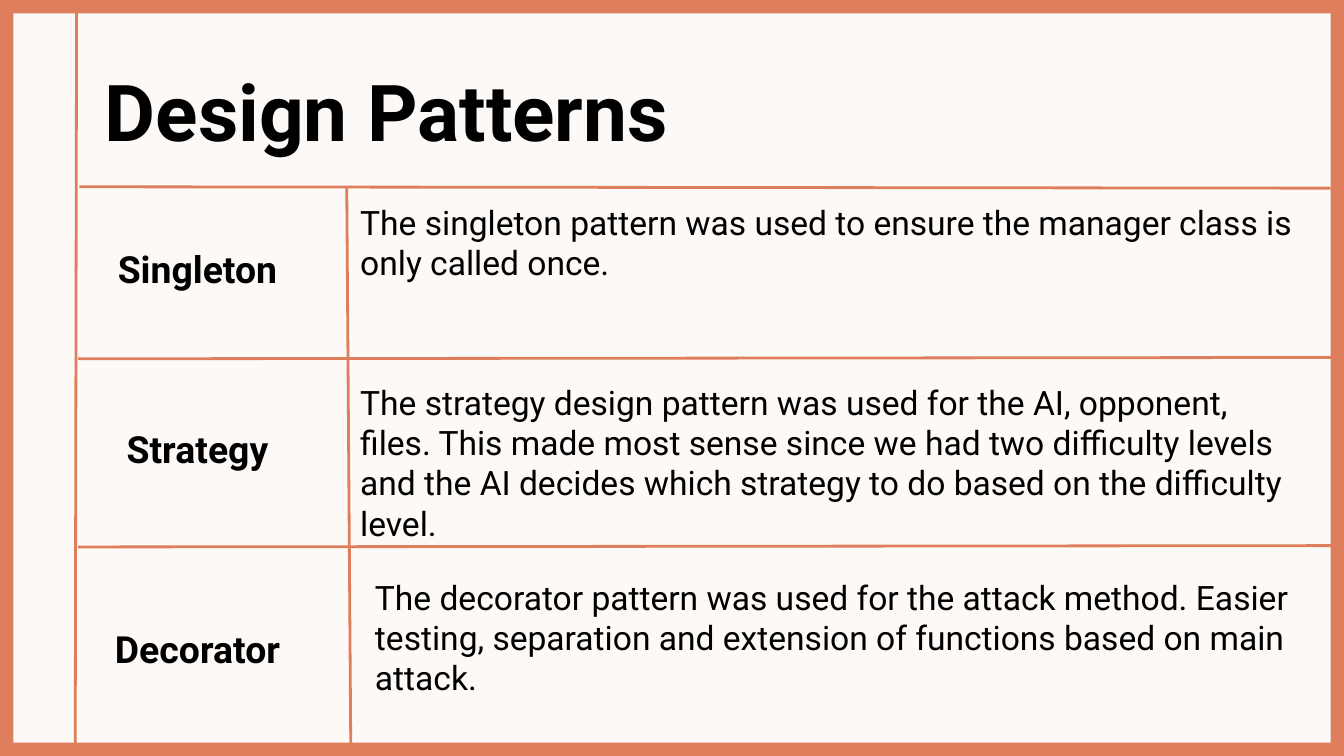
from dataclasses import dataclass

from lxml import etree
from pptx import Presentation
from pptx.dml.color import RGBColor
from pptx.enum import shapes, text
from pptx.oxml import ns
from pptx.util import Inches, Pt


@dataclass(frozen=True)
class Theme:
    paper: RGBColor = RGBColor(0xFC, 0xF9, 0xF6)
    rust: RGBColor = RGBColor(0xDE, 0x7E, 0x5D)
    ink: RGBColor = RGBColor(0, 0, 0)
    font: str = "Roboto"
    head: int = 42
    label: int = 20
    body: int = 18
    rule: float = 1.5


theme = Theme()
WIDE, EDGE = 10, 0.1
HIGH = WIDE * 9 / 16


def write(box, words, at, size, bold=False, align=text.PP_ALIGN.LEFT,
          anchor=text.MSO_ANCHOR.TOP, space=1.0, after=0):
    """Place a text shape and fill it with one plain, unbulleted paragraph."""
    box.left, box.top, box.width, box.height = map(Inches, at)
    frame = box.text_frame
    frame.word_wrap = True
    frame.auto_size = text.MSO_AUTO_SIZE.NONE
    frame.vertical_anchor = anchor
    frame.margin_left = frame.margin_right = Inches(0.1)
    frame.margin_top = frame.margin_bottom = Inches(0.1)
    para = frame.paragraphs[0]
    para.alignment = align
    para.line_spacing = space
    para.space_before, para.space_after = Pt(0), Pt(after)
    props = para._p.get_or_add_pPr()
    props.set("marL", "0")
    props.set("indent", "0")
    etree.SubElement(props, ns.qn("a:buNone"))
    run = para.add_run()
    run.text = words
    run.font.name, run.font.size, run.font.bold = theme.font, Pt(size), bold
    run.font.color.rgb = theme.ink


deck = Presentation()
deck.slide_width, deck.slide_height = Inches(WIDE), Inches(HIGH)
slide = deck.slides.add_slide(deck.slide_layouts.get_by_name("Comparison"))
slide.background.fill.solid()
slide.background.fill.fore_color.rgb = theme.paper

# Frame around the slide
for at in [(0, 0, WIDE, EDGE), (0, HIGH - EDGE, WIDE, EDGE),
           (0, 0, EDGE, HIGH), (WIDE - EDGE, 0, EDGE, HIGH)]:
    bar = slide.shapes.add_shape(shapes.MSO_SHAPE.RECTANGLE, *map(Inches, at))
    bar.shadow.inherit = False
    bar.fill.solid()
    bar.fill.fore_color.rgb = theme.rust
    bar.line.fill.background()

# Slightly uneven rules between the rows and columns
for ends in [(0.56, 5.53, 0.57, 0.07), (0.59, 1.39, 9.9, 1.4),
             (0.58, 2.67, 9.91, 2.66), (0.58, 4.07, 9.91, 4.06),
             (2.58, 1.39, 2.61, 5.55)]:
    rule = slide.shapes.add_connector(
        shapes.MSO_CONNECTOR.STRAIGHT, *map(Inches, ends))
    rule.line.color.rgb = theme.rust
    rule.line.width = Pt(theme.rule)
    etree.SubElement(rule._element.spPr, ns.qn("a:effectLst"))

write(slide.shapes.title, "Design Patterns", (0.68, 0.36, 9, 0.92), theme.head,
      bold=True, anchor=text.MSO_ANCHOR.MIDDLE)

rows = [
    ("Singleton", (0.56, 1.68, 1.82, 0.7), (2.58, 1.4, 7.31, 1.26),
     "The singleton pattern was used to ensure the manager class is only "
     "called once."),
    ("Strategy", (0.56, 3.02, 1.82, 0.7), (2.58, 2.74, 7.14, 1.08),
     "The strategy design pattern was used for the AI, opponent, files. This "
     "made most sense since we had two difficulty levels and the AI decides "
     "which strategy to do based on the difficulty level."),
    ("Decorator", (0.56, 4.51, 1.82, 0.61), (2.69, 4.19, 7.03, 1.26),
     "The decorator pattern was used for the attack method. Easier testing, "
     "separation and extension of functions based on main attack."),
]
_, *bodies, spare = slide.placeholders
for body, (name, side, main, words) in zip(bodies, rows):
    label = slide.shapes.add_textbox(*map(Inches, side))
    write(label, name, side, theme.label, bold=True,
          align=text.PP_ALIGN.CENTER, space=1.15)
    write(body, words, main, theme.body, after=10)
spare._element.getparent().remove(spare._element)

deck.save("out.pptx")
